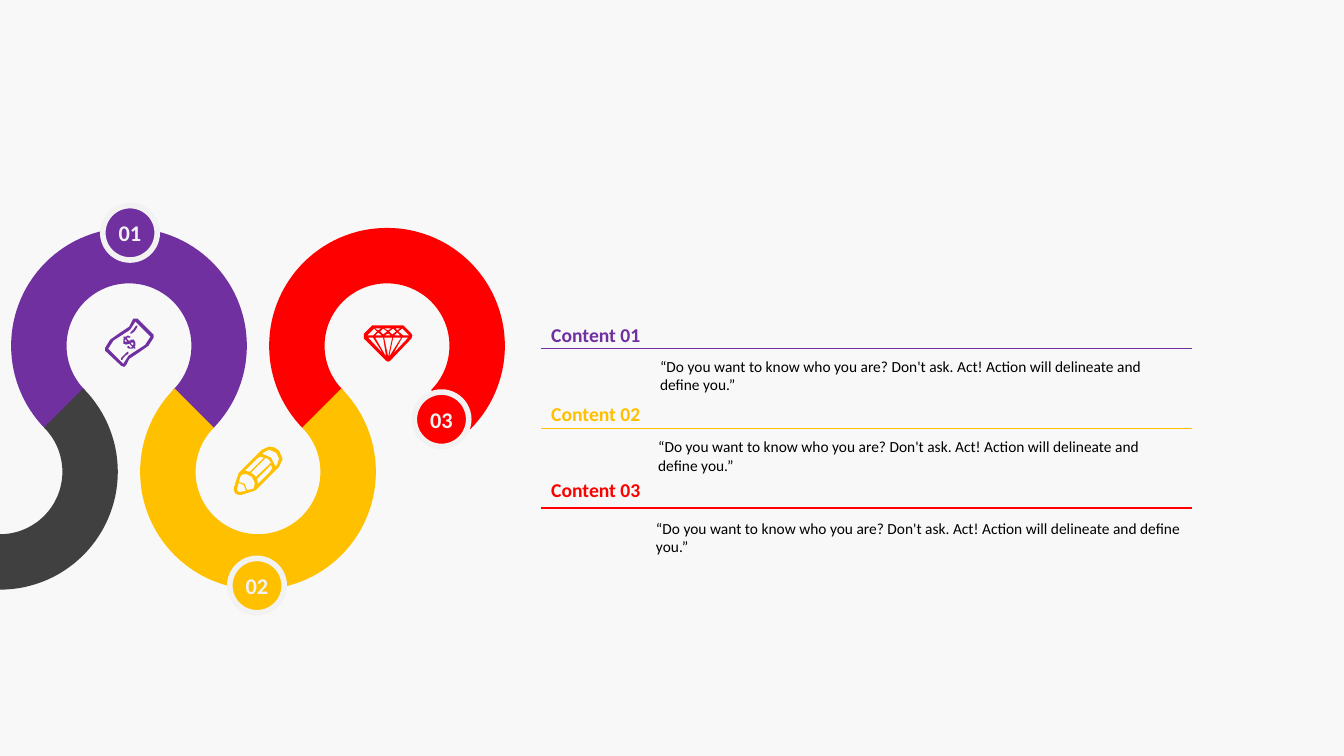
"""Build a slide with a winding three-step path and its content list."""
import math

from lxml import etree
from pptx import Presentation
from pptx import util as u
from pptx.dml.color import RGBColor
from pptx.enum import shapes, text
from pptx.oxml.ns import qn

BACKGROUND = RGBColor(0xF8, 0xF8, 0xF8)
PURPLE = RGBColor(0x70, 0x30, 0xA0)
GOLD = RGBColor(0xFF, 0xC0, 0x00)
RED = RGBColor(0xFF, 0x00, 0x00)
CHARCOAL = RGBColor(0x40, 0x40, 0x40)
PALE = RGBColor(0xF2, 0xF2, 0xF2)
BLACK = RGBColor(0, 0, 0)

QUOTE = ("“Do you want to know who you are? Don't ask. Act! "
         "Action will delineate and define you.”")
ICON_UNIT = 0.72
RING_STEP, UPPER_ROW, LOWER_ROW = 92.15, 247, 337
OUTER_RADIUS, INNER_RADIUS = 84.2, 44.6
RULE_LEFT, RULE_RIGHT = 386.64, 851.76

BANKNOTE = [
    [(49, 16), (33, 0), (30, 0), (29, 0), (28, 2), (25, 8), (16, 14), (6, 21),
     (1, 29), (1, 32), (17, 47), (20, 48), (21, 47), (22, 46), (25, 40),
     (34, 34), (44, 27), (49, 19)],
    [(19, 45), (4, 30), (9.3, 21.8), (17.5, 16.5), (25.7, 11.2), (31, 3),
     (46, 18), (40.7, 26.2), (32.5, 31.5), (24.3, 36.8)],
]
DOLLAR = [
    [(30, 22), (29, 21), (27, 21), (26, 22), (24, 22), (22, 19), (25, 19),
     (26, 19), (26, 18), (24, 17), (23, 17), (22, 18), (20, 18), (19, 18),
     (19, 19), (20, 19), (19, 21), (19, 25), (22, 26), (25, 25), (28, 28),
     (27, 29), (26, 29), (25, 28), (24, 27), (23, 28), (23, 29), (25, 30),
     (28, 30), (29, 29), (30, 30), (31, 30), (31, 29), (30, 28), (31, 27),
     (31, 24)],
    [(22, 23), (21, 23), (20, 22), (21, 21), (21, 20), (23, 23)],
    [(29, 26), (28, 27), (26, 24), (27, 24), (29, 24), (29, 25)],
]
LOWER_TICK = [[(23, 33), (20, 36), (18, 38), (17, 39), (17, 41), (18, 41),
               (19, 39), (21, 37), (24, 35), (24, 33)]]
UPPER_TICK = [[(29, 11), (26, 14), (26, 15), (27, 15), (30, 13), (32, 10),
               (33, 8), (33, 7), (32, 7), (31, 8)]]
PENCIL = [
    [(45, 4), (40.4, 0.9), (35, 0), (28, 3), (21, 10), (5, 26), (4, 29),
     (0, 41), (0, 43), (1.5, 46.5), (5, 48), (7, 48), (20, 44), (22, 43),
     (45, 20), (48.4, 12.4)],
    [(24, 36), (23, 32), (37, 18), (38.2, 21.5), (36, 25), (24, 37)],
    [(22, 30), (20, 28), (17, 26), (32, 11), (35, 13), (37, 16)],
    [(16, 25), (11, 24), (23, 12), (26, 10), (30, 11)],
    [(6, 45), (5, 45), (3, 43), (3, 42), (5, 36), (10, 38), (12, 44)],
    [(13, 43), (11, 37), (5, 35), (7, 29), (7, 28), (12.5, 27.1), (18, 30),
     (20.9, 35.9), (20, 41), (19, 42)],
    [(43, 18), (41, 20), (41, 19), (37, 11), (28, 7), (31, 5), (35, 3),
     (42, 6), (45, 12)],
]
DIAMOND = [
    [(47, 8), (39, 0), (37, 0), (10, 0), (8, 0), (0, 8), (0, 10), (0, 13),
     (22, 35), (24, 36), (26, 35), (47, 13), (48, 10)],
    [(27, 10), (20, 10), (24, 8)],
    [(25, 6), (29, 3), (32, 6), (28, 9)],
    [(19, 9), (16, 6), (19, 3), (23, 6)],
    [(28, 12), (24, 31), (20, 12)],
    [(29, 12), (37, 12), (25, 31)],
    [(30, 10), (33, 7), (36, 10)],
    [(31, 3), (36, 3), (33, 5)],
    [(24, 5), (20, 3), (27, 3)],
    [(14, 5), (11, 3), (17, 3)],
    [(14, 7), (18, 10), (11, 10)],
    [(19, 12), (22, 31), (11, 12)],
    [(19, 28), (4, 12), (9, 12)],
    [(38, 12), (44, 12), (29, 28)],
    [(39, 10), (34, 6), (38, 3), (45, 10)],
    [(10, 3), (13, 6), (9, 10), (3, 10)],
]


class PathSlide:
    """Hold the style and the slide, and draw each kind of element."""

    font = "Calibri"

    def __init__(self, slide):
        """Keep the slide and colour its background."""
        self.slide = slide
        slide.background.fill.solid()
        slide.background.fill.fore_color.rgb = BACKGROUND

    def paint(self, part, colour):
        """Give a part a flat fill."""
        part.shadow.inherit = False
        part.fill.solid()
        part.fill.fore_color.rgb = colour
        part.line.fill.background()

    def outline(self, contours, colour):
        """Draw closed contours, given in points, as one shape."""
        scaled = [[(x * 100, y * 100) for x, y in c] for c in contours]
        builder = self.slide.shapes.build_freeform(*scaled[0][0], scale=u.Pt(0.01))
        builder.add_line_segments(scaled[0][1:])
        for hole in scaled[1:]:
            builder.move_to(*hole[0])
            builder.add_line_segments(hole[1:])
        self.paint(builder.convert_to_shape(), colour)

    def ring(self, place, start, end, colour):
        """Draw a band of the path between two clockwise angles."""
        x = place * RING_STEP
        y = UPPER_ROW if place % 2 else LOWER_ROW
        angles = [math.radians(a) for a in range(start, end + 1, 3)]
        edge = [(x + r * math.cos(a), y + r * math.sin(a))
                for r, sweep in ((OUTER_RADIUS, angles), (INNER_RADIUS, angles[::-1]))
                for a in sweep]
        self.outline([edge], colour)

    def icon(self, left, top, contours, colour):
        """Draw an icon from its grid points."""
        self.outline([[(left + x * ICON_UNIT, top + y * ICON_UNIT) for x, y in c]
                      for c in contours], colour)

    def fill_text(self, frame, words, size, colour, bold=False):
        """Set the words of a frame and format them."""
        frame.text = words
        paragraph = frame.paragraphs[0]
        font = paragraph.runs[0].font
        font.name, font.size, font.bold = self.font, u.Pt(size), bold
        font.color.rgb = colour
        return paragraph

    def badge(self, x, y, number, colour, diameter=38.9):
        """Draw a numbered disc around a centre."""
        disc = self.slide.shapes.add_shape(
            shapes.MSO_SHAPE.OVAL, u.Pt(x - diameter / 2), u.Pt(y - diameter / 2),
            u.Pt(diameter), u.Pt(diameter))
        self.paint(disc, colour)
        disc.line.color.rgb = PALE
        disc.line.width = u.Pt(4)
        frame = disc.text_frame
        frame.margin_left = frame.margin_right = 0
        frame.margin_top = frame.margin_bottom = 0
        frame.word_wrap = False
        frame.vertical_anchor = text.MSO_ANCHOR.MIDDLE
        self.fill_text(frame, number, 16, PALE, True).alignment = text.PP_ALIGN.CENTER

    def rule(self, y, colour):
        """Draw the line under a heading."""
        line = self.slide.shapes.add_connector(
            shapes.MSO_CONNECTOR.STRAIGHT, u.Pt(RULE_LEFT), u.Pt(y),
            u.Pt(RULE_RIGHT), u.Pt(y))
        line.line.color.rgb = colour
        line.line.width = u.Pt(1)
        etree.SubElement(line._element.spPr, qn("a:effectLst"))

    def words(self, box, content, size, colour, bold=False):
        """Add a wrapping text box."""
        frame = self.slide.shapes.add_textbox(*map(u.Pt, box)).text_frame
        frame.word_wrap = True
        paragraph = self.fill_text(frame, content, size, colour, bold)
        paragraph.space_after = u.Pt(6)
        return paragraph


def main():
    """Build and save the slide."""
    deck = Presentation()
    deck.slide_width, deck.slide_height = u.Pt(960), u.Pt(540)
    page = PathSlide(deck.slides.add_slide(deck.slide_layouts[6]))

    page.ring(3, 135, 405, RED)
    page.ring(1, 135, 405, PURPLE)
    page.ring(2, -45, 225, GOLD)
    page.ring(0, -45, 90, CHARCOAL)

    page.badge(315.4, 299.5, "03", RED)
    page.badge(183.6, 418.3, "02", GOLD)
    page.badge(92.9, 166.3, "01", PURPLE)

    for banknote_part in (BANKNOTE, DOLLAR, LOWER_TICK, UPPER_TICK):
        page.icon(74.4, 227.5, banknote_part, PURPLE)
    page.icon(167, 319, PENCIL, GOLD)
    page.icon(260, 232.5, DIAMOND, RED)

    contents = [("Content 01", PURPLE, 249.1, 230.4, 464.4, 251.3),
                ("Content 02", GOLD, 306, 286.6, 463, 308.9),
                ("Content 03", RED, 362.9, 341.3, 461.5, 367.2)]
    for heading, colour, rule_y, heading_top, quote_left, quote_top in contents:
        page.rule(rule_y, colour)
        page.words((quote_left, quote_top, RULE_RIGHT - quote_left, 42), QUOTE, 11, BLACK)
        page.words((RULE_LEFT, heading_top, 86, 20), heading, 14, colour,
                   True).line_spacing = 0.8

    deck.save("out.pptx")


if __name__ == "__main__":
    main()
